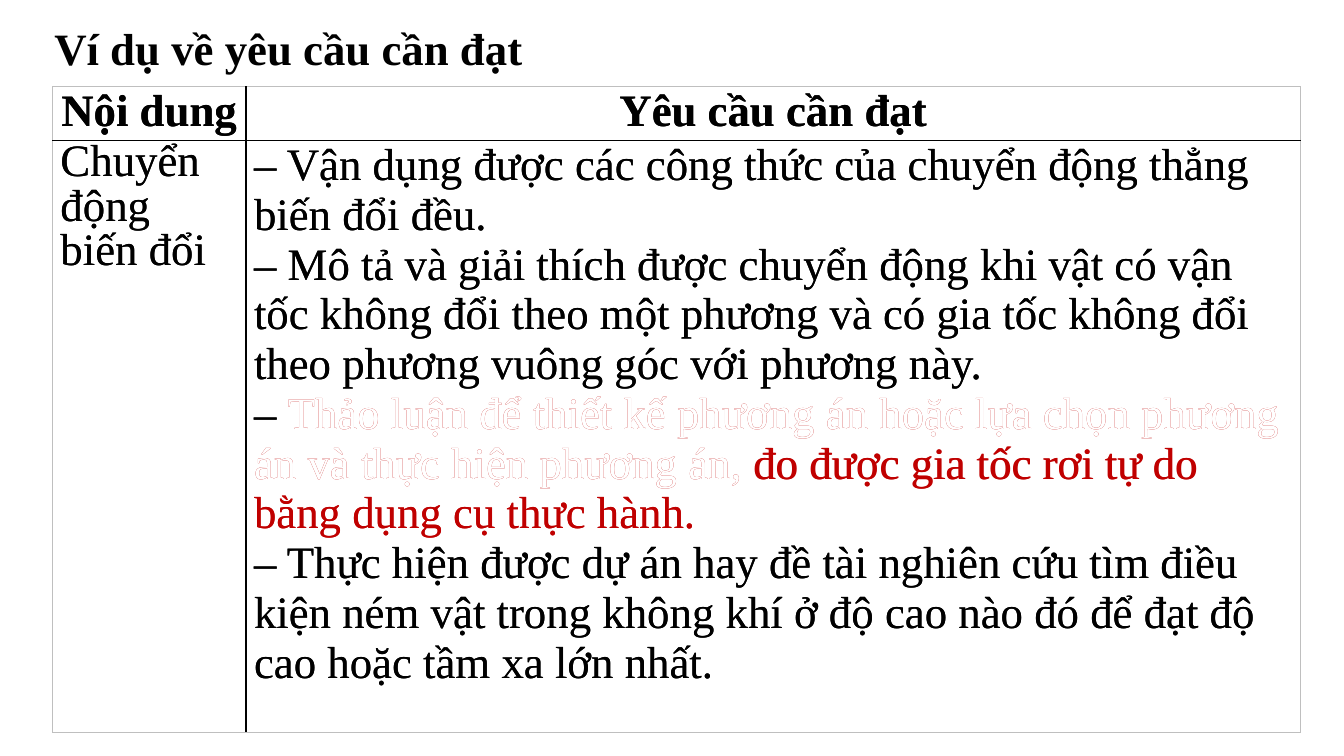
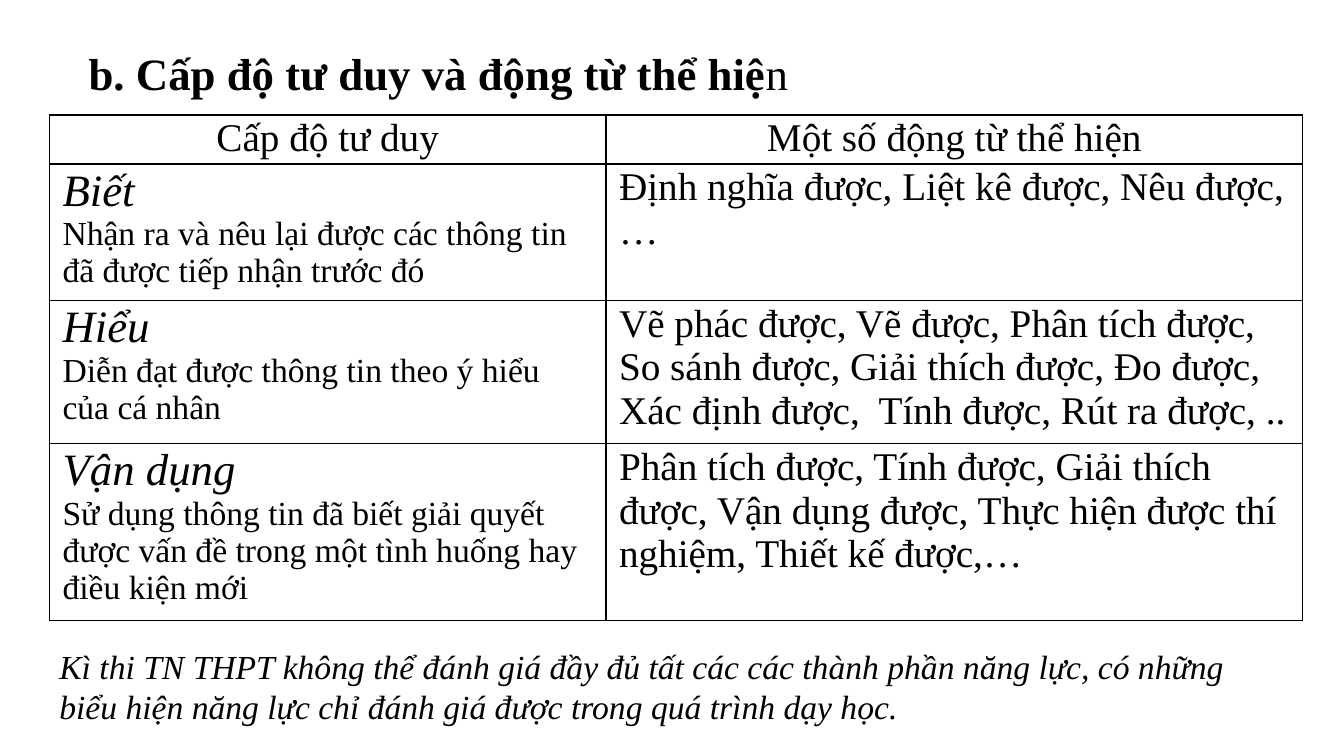
from lxml import etree
from pptx import Presentation
from pptx.dml.color import RGBColor
from pptx.enum import text
from pptx.oxml import ns
from pptx.util import Inches, Pt

FONT = "Times New Roman"
BLACK, WHITE, RED, GREY = "000000", "FFFFFF", "C00000", "BFBFBF"
CENTER = {"alignment": text.PP_ALIGN.CENTER}
TIGHT = {"line_spacing": 0.9}
LARGE, MEDIUM, SMALL = {"size": Pt(32)}, {"size": Pt(28)}, {"size": Pt(24)}
BOLD = {**LARGE, "bold": True}
LEVEL = {**LARGE, "italic": True}
NOTE = {**SMALL, "italic": True}

EXAMPLE_TITLE = [("Ví dụ về yêu cầu cần đạt", BOLD, BLACK)]
VERB_TITLE = [
    ("b. Cấp độ tư duy và động từ thể hiệ", BOLD, BLACK),
    ("n", LARGE, BLACK),
]
EXAM_NOTE = [(
    "Kì thi TN THPT không thể đánh giá đầy đủ tất các các thành phần năng lực, "
    "có những biểu hiện năng lực chỉ đánh giá được trong quá trình dạy học.",
    NOTE, BLACK,
)]
EXAMPLE_HEADS = ["Nội dung", "Yêu cầu cần đạt"]
TOPIC = "Chuyển động biến đổi"
MOTION_GOALS = [
    "– Vận dụng được các công thức của chuyển động thẳng biến đổi đều.",
    "– Mô tả và giải thích được chuyển động khi vật có vận tốc không đổi theo một "
    "phương và có gia tốc không đổi theo phương vuông góc với phương này.",
]
DISCUSS = "Thảo luận để thiết kế phương án hoặc lựa chọn phương án và thực hiện phương án, "
MEASURE = "đo được gia tốc rơi tự do bằng dụng cụ thực hành."
PROJECT_GOAL = (
    "– Thực hiện được dự án hay đề tài nghiên cứu tìm điều kiện ném vật trong không "
    "khí ở độ cao nào đó để đạt độ cao hoặc tầm xa lớn nhất."
)
VERB_HEADS = ["Cấp độ tư duy", "Một số động từ thể hiện"]
LEVELS = [
    ("Biết", "Nhận ra và nêu lại được các thông tin đã được tiếp nhận trước đó",
     "Định nghĩa được, Liệt kê được, Nêu được, …"),
    ("Hiểu", "Diễn đạt được thông tin theo ý hiểu của cá nhân",
     "Vẽ phác được, Vẽ được, Phân tích được, So sánh được, Giải thích được, "
     "Đo được, Xác định được,  Tính được, Rút ra được, .."),
    ("Vận dụng",
     "Sử dụng thông tin đã biết giải quyết được vấn đề trong một tình huống hay điều kiện mới",
     "Phân tích được, Tính được, Giải thích được, Vận dụng được, "
     "Thực hiện được thí nghiệm, Thiết kế được,…"),
]


def color(value):
    return RGBColor.from_string(value)


def set_all(target, values):
    for name, value in values.items():
        setattr(target, name, value)


def plain(words, style, layout=None):
    return layout or {}, [(words, style, BLACK)]


def write(frame, paragraphs):
    for index, (layout, runs) in enumerate(paragraphs):
        para = frame.add_paragraph() if index else frame.paragraphs[0]
        set_all(para, layout)
        for words, style, ink in runs:
            span = para.add_run()
            span.text = words
            set_all(span.font, {"name": FONT, **style})
            span.font.color.rgb = color(ink)


def add_text(page, place, runs, layout=None, anchor=text.MSO_ANCHOR.MIDDLE):
    box = page.shapes.add_textbox(*map(Inches, place))
    set_all(box.text_frame, {"word_wrap": True, "vertical_anchor": anchor})
    write(box.text_frame, [(layout or {}, runs)])


def add_border(cell, position, side, ink, points):
    line = etree.Element(ns.qn(f"a:ln{side}"), w=str(Pt(points)))
    fill = etree.SubElement(line, ns.qn("a:solidFill"))
    etree.SubElement(fill, ns.qn("a:srgbClr"), val=ink)
    cell._tc.get_or_add_tcPr().insert(position, line)


def add_grid(page, corner, widths, heights, rows, insets, outer):
    size = (sum(widths), sum(heights))
    table = page.shapes.add_table(
        len(rows), len(widths), *map(Inches, corner + size)).table
    set_all(table, {"first_row": False, "horz_banding": False})
    for column, width in zip(table.columns, widths):
        column.width = Inches(width)
    for r, (row, height) in enumerate(zip(rows, heights)):
        table.rows[r].height = Inches(height)
        for c, paragraphs in enumerate(row):
            cell = table.cell(r, c)
            side, top = map(Inches, insets)
            set_all(cell, {"margin_left": side, "margin_right": side,
                           "margin_top": top, "margin_bottom": 0})
            cell.fill.background()
            write(cell.text_frame, paragraphs)
            edges = {"L": c == 0, "R": c == len(widths) - 1,
                     "T": r == 0, "B": r == len(rows) - 1}
            for position, (edge, is_outer) in enumerate(edges.items()):
                add_border(cell, position, edge, *(outer if is_outer else (BLACK, 1)))


def example_rows(discuss_ink):
    discussion = ({}, [("– ", LARGE, BLACK), (DISCUSS, LARGE, discuss_ink),
                       (MEASURE, LARGE, RED)])
    goals = [plain(goal, LARGE) for goal in MOTION_GOALS]
    return [
        [[plain(head, BOLD, CENTER)] for head in EXAMPLE_HEADS],
        [[plain(TOPIC, LARGE, TIGHT)], goals + [discussion, plain(PROJECT_GOAL, LARGE)]],
    ]


def verb_rows():
    heads = [[plain(head, MEDIUM, CENTER)] for head in VERB_HEADS]
    return [heads] + [
        [[plain(level, LEVEL), plain(meaning, SMALL)], [plain(verbs, MEDIUM)]]
        for level, meaning, verbs in LEVELS
    ]


def main():
    """Build the slides on required outcomes and thinking levels."""
    deck = Presentation()
    set_all(deck, {"slide_width": Inches(13.33), "slide_height": Inches(7.5)})
    example, verbs = (deck.slides.add_slide(deck.slide_layouts[6]) for _ in range(2))

    add_text(example, (0.44, 0.16, 12.47, 0.7), EXAMPLE_TITLE, TIGHT)
    for discuss_ink in (RED, WHITE):
        add_grid(example, (0.52, 0.86), (1.92, 10.46), (0.4, 4),
                 example_rows(discuss_ink), (0.08, 0), (GREY, 0.5))

    add_text(verbs, (0.78, 0.32, 9.81, 0.81), VERB_TITLE)
    add_grid(verbs, (0.49, 1.14), (5.52, 6.91), (0.4, 1, 1, 1),
             verb_rows(), (0.13, 0.02), (BLACK, 1))
    add_text(verbs, (0.49, 6.36, 12.02, 0.91), EXAM_NOTE, anchor=text.MSO_ANCHOR.TOP)
    deck.save("out.pptx")


if __name__ == "__main__":
    main()
